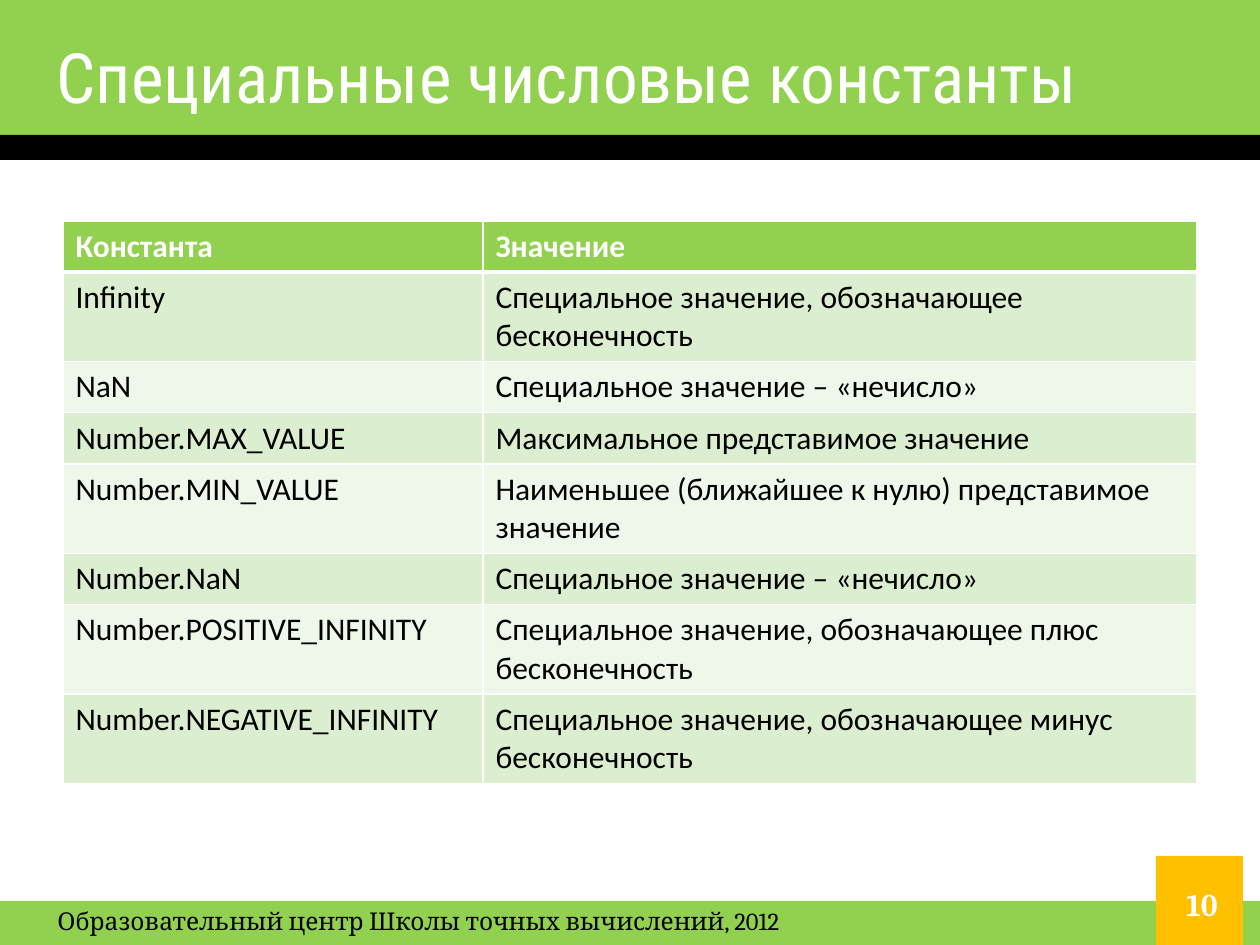
from lxml import etree
from pptx import Presentation
from pptx.dml.color import RGBColor
from pptx.enum.shapes import MSO_SHAPE
from pptx.enum.text import MSO_ANCHOR, MSO_AUTO_SIZE, PP_ALIGN
from pptx.oxml.ns import qn
from pptx.util import Pt

RECT = MSO_SHAPE.RECTANGLE
TOP, MIDDLE = MSO_ANCHOR.TOP, MSO_ANCHOR.MIDDLE
LEFT, CENTER = PP_ALIGN.LEFT, PP_ALIGN.CENTER
NO_FIT = MSO_AUTO_SIZE.NONE

GREEN = RGBColor(0x92, 0xD0, 0x50)
BAND_DARK = RGBColor(0xDC, 0xEE, 0xD0)
BAND_LIGHT = RGBColor(0xEE, 0xF7, 0xE9)
AMBER = RGBColor(0xFF, 0xC0, 0x00)
BLACK = RGBColor(0, 0, 0)
WHITE = RGBColor(0xFF, 0xFF, 0xFF)

# Content
TITLE = "Специальные числовые константы"
FOOTER = "Образовательный центр Школы точных вычислений, 2012"
NUMBER = "10"
# Name, meaning, lines of text in the row
ROWS = [
    ("Константа", "Значение", 1),
    ("Infinity", "Специальное значение, обозначающее бесконечность", 2),
    ("NaN", "Специальное значение – «нечисло»", 1),
    ("Number.MAX_VALUE", "Максимальное представимое значение", 1),
    ("Number.MIN_VALUE", "Наименьшее (ближайшее к нулю) представимое значение", 2),
    ("Number.NaN", "Специальное значение – «нечисло»", 1),
    ("Number.POSITIVE_INFINITY", "Специальное значение, обозначающее плюс бесконечность", 2),
    ("Number.NEGATIVE_INFINITY", "Специальное значение, обозначающее минус бесконечность", 2),
]

# Layout in pixels, 126 to the inch
W, H = 1260, 945
BARS = [
    (0, 0, W, 135, GREEN),
    (0, 135, W, 25, BLACK),
    (0, 901, W, 44, GREEN),
    (1156, 856, 87, 89, AMBER),
]
TITLE_BOX = (44, 37, 1134, 77)
FOOTER_BOX = (45, 900, 757, 45)
NUMBER_BOX = (1163, 869, 78, 69)
TABLE_LEFT, TABLE_TOP = 63, 221
COL_WIDTHS = (420, 714)
ROW_HEIGHTS = {1: 51, 2: 89}


def px(n):
    return round(n * 914400 / 126)


def write(tf, text, size=18, font="Calibri", color=BLACK, bold=False,
          align=LEFT, anchor=TOP):
    tf.word_wrap = True
    tf.vertical_anchor = anchor
    p = tf.paragraphs[0]
    p.alignment = align
    r = p.add_run()
    r.text = text
    r.font.size = Pt(size)
    r.font.name = font
    r.font.bold = bold
    r.font.color.rgb = color


def add_text(box, text, **fmt):
    tf = slide.shapes.add_textbox(*map(px, box)).text_frame
    write(tf, text, **fmt)


def set_borders(cell, widths):
    """Draw white cell borders; widths maps a side to points."""
    tcPr = cell._tc.get_or_add_tcPr()
    for i, (side, width) in enumerate(widths.items()):
        ln = etree.Element(qn("a:ln" + side), w=str(Pt(width)))
        fill = etree.SubElement(ln, qn("a:solidFill"))
        etree.SubElement(fill, qn("a:srgbClr"), val=str(WHITE))
        tcPr.insert(i, ln)


prs = Presentation()
prs.slide_width, prs.slide_height = px(W), px(H)
slide = prs.slides.add_slide(prs.slide_layouts[5])

# Bars and number square
for *box, color in BARS:
    sp = slide.shapes.add_shape(RECT, *map(px, box))
    sp.shadow.inherit = False
    sp.fill.solid()
    sp.fill.fore_color.rgb = color
    sp.line.fill.background()

# Title, raised above the green bar
title = slide.shapes.title
title.left, title.top, title.width, title.height = map(px, TITLE_BOX)
title.text_frame.auto_size = NO_FIT
write(title.text_frame, TITLE, size=39.6, font="Roboto Condensed", color=WHITE,
      anchor=MIDDLE)
slide.shapes._spTree.append(title._element)

# Table of constants
heights = [ROW_HEIGHTS[lines] for *_, lines in ROWS]
frame = slide.shapes.add_table(len(ROWS), len(COL_WIDTHS), px(TABLE_LEFT), px(TABLE_TOP),
                               px(sum(COL_WIDTHS)), px(sum(heights)))
table = frame.table
for col, width in zip(table.columns, COL_WIDTHS):
    col.width = px(width)
for i, (*texts, _) in enumerate(ROWS):
    table.rows[i].height = px(heights[i])
    header = i == 0
    band = GREEN if header else BAND_DARK if i % 2 else BAND_LIGHT
    for j, text in enumerate(texts):
        cell = table.cell(i, j)
        cell.fill.solid()
        cell.fill.fore_color.rgb = band
        write(cell.text_frame, text, color=WHITE if header else BLACK, bold=header)
        set_borders(cell, {"L": 1, "R": 1, "T": 3 if i == 1 else 1, "B": 3 if header else 1})

# Footer and slide number
add_text(FOOTER_BOX, FOOTER, size=14, font="Cambria")
add_text(NUMBER_BOX, NUMBER, font="Cambria", color=WHITE, bold=True,
         align=CENTER, anchor=MIDDLE)

prs.save("out.pptx")
